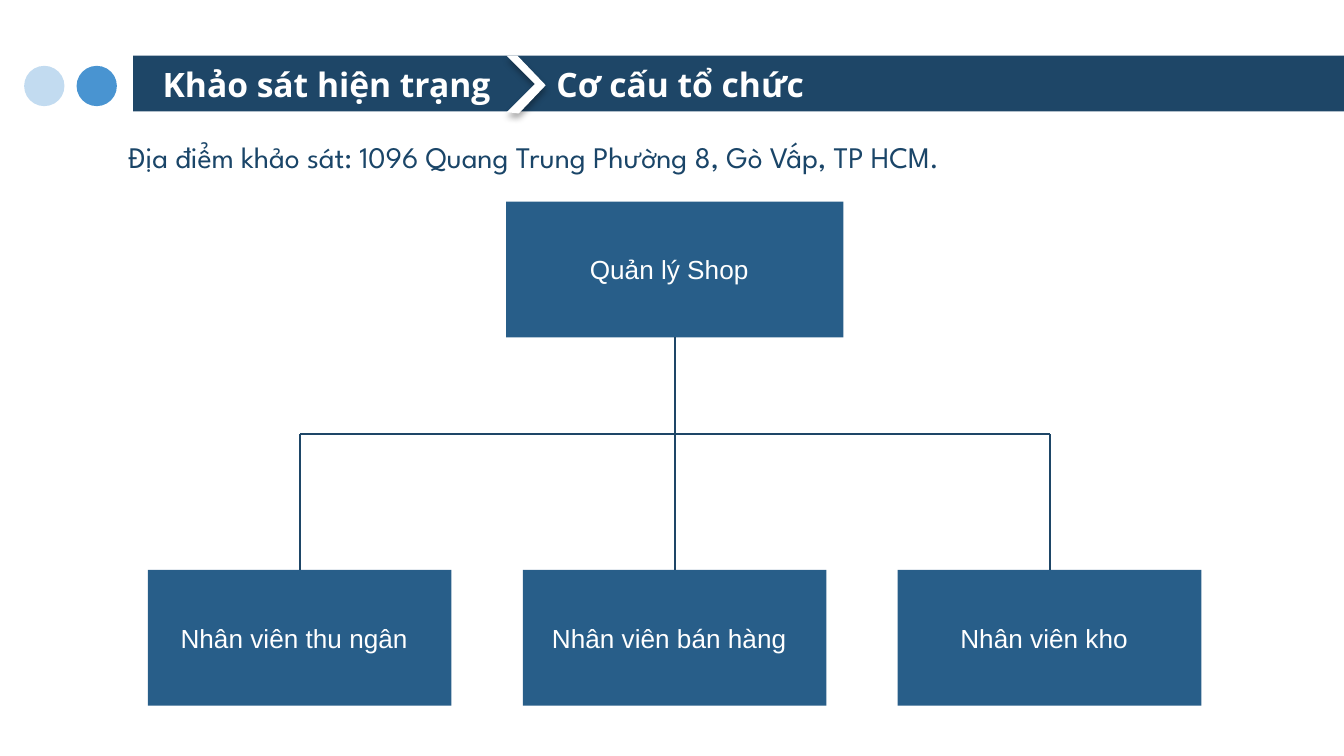
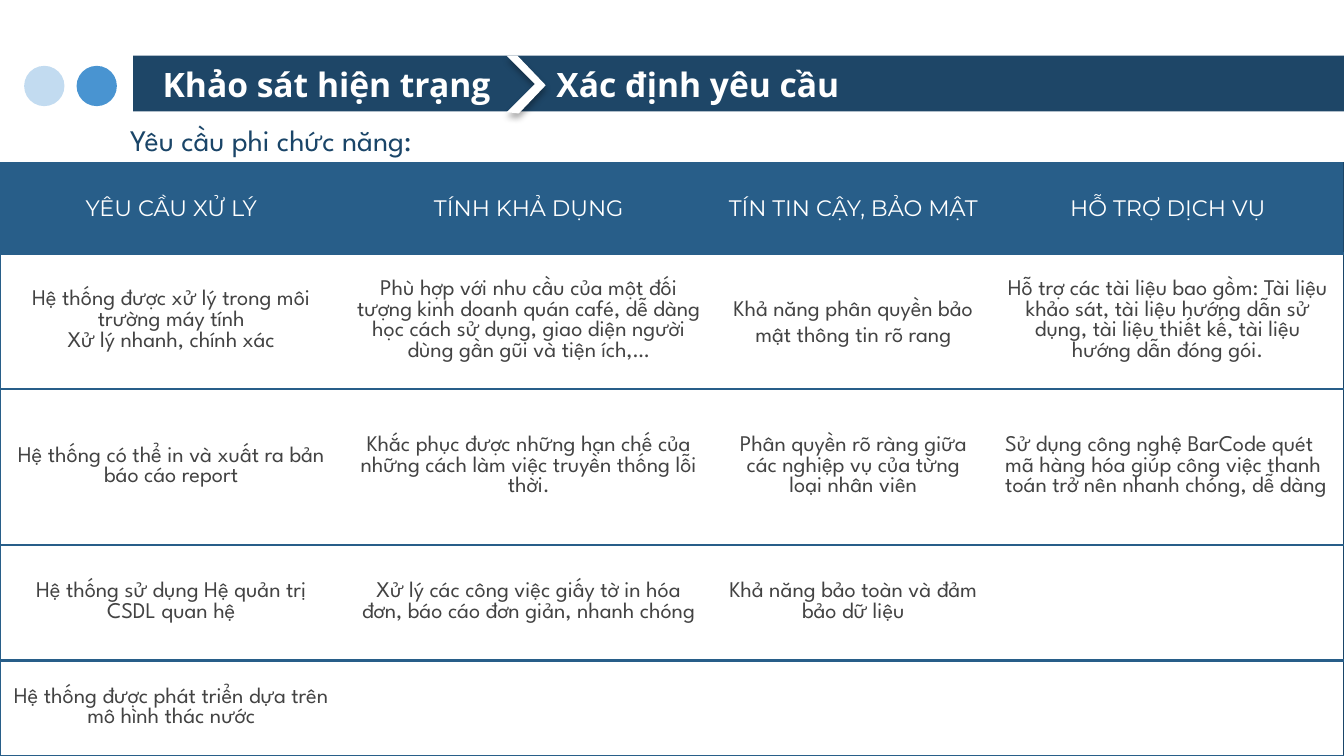
from collections import namedtuple

from lxml import etree
from pptx import Presentation
from pptx.dml.color import RGBColor
from pptx.enum.shapes import MSO_CONNECTOR as Connector, MSO_SHAPE as Preset
from pptx.enum.text import MSO_ANCHOR as Anchor, MSO_AUTO_SIZE as AutoSize, PP_ALIGN as Align
from pptx.oxml.ns import qn
from pptx.util import Inches, Pt

SLIDE_WIDTH = Inches(10)
SLIDE_HEIGHT = SLIDE_WIDTH * 9 // 16
COLUMNS = 100  # square grid cells across the slide
CELL = SLIDE_WIDTH // COLUMNS

NAVY, INK, BLUE = "1E4667", "1A4568", "285E89"
DOT_BLUE, DOT_PALE = "4994D1", "C2DBF0"
WHITE, GREY = "FFFFFF", "434343"
HEADING_FONT, BODY_FONT = "Open Sans", "League Spartan"
TABLE_HEAD_FONT, CHART_FONT = "Montserrat", "Arial"

SECTION = "Khảo sát hiện trạng"
MANAGER = "Quản lý Shop"
STAFF = ["Nhân viên thu ngân", "Nhân viên bán hàng", "Nhân viên kho"]

REQUIREMENT_COLUMNS = [25.5, 27.7, 20.6, 26.2]
REQUIREMENT_ROWS = [6.7, 10.1, 11.6, 8.6, 7.1]
REQUIREMENTS = [
    ["YÊU CẦU XỬ LÝ", "TÍNH KHẢ DỤNG", "TÍN TIN CẬY, BẢO MẬT", "HỖ TRỢ DỊCH VỤ"],
    ["Hệ thống được xử lý trong môi trường máy tính\nXử lý nhanh, chính xác",
     "Phù hợp với nhu cầu của một đối tượng kinh doanh quán café, dễ dàng học cách "
     "sử dụng, giao diện người dùng gần gũi và tiện ích,…",
     "Khả năng phân quyền bảo mật thông tin rõ rang",
     "Hỗ trợ các tài liệu bao gồm: Tài liệu khảo sát, tài liệu hướng dẫn sử dụng, "
     "tài liệu thiết kế, tài liệu hướng dẫn đóng gói."],
    ["Hệ thống có thể in và xuất ra bản báo cáo report",
     "Khắc phục được những hạn chế của những cách làm việc truyền thống lỗi thời.",
     "Phân quyền rõ ràng giữa các nghiệp vụ của từng loại nhân viên",
     "Sử dụng công nghệ BarCode quét mã hàng hóa giúp công việc thanh toán trở nên "
     "nhanh chóng, dễ dàng"],
    ["Hệ thống sử dụng Hệ quản trị CSDL quan hệ",
     "Xử lý các công việc giấy tờ in hóa đơn, báo cáo đơn giản, nhanh chóng",
     "Khả năng bảo toàn và đảm bảo dữ liệu", ""],
    ["Hệ thống được phát triển dựa trên mô hình thác nước", "", "", ""],
]
# Formats of single cells that depart from the rest of the table
CELL_FORMATS = {(1, 2): {"line_spacing": 1.3}, (2, 3): {"align": Align.LEFT}}


class Box(namedtuple("Box", "left top width height")):
    """A rectangle measured in grid cells."""

    def emu(self):
        return [grid(value) for value in self]


BAND = Box(9.9, 4.15, 90.1, 4.15)


def grid(cells):
    return round(cells * CELL)


def color(hex_string):
    return RGBColor.from_string(hex_string)


def write_text(frame, text, font=BODY_FONT, size=12, fill=WHITE, bold=False,
               align=Align.LEFT, line_spacing=None):
    frame.text = text
    for paragraph in frame.paragraphs:
        paragraph.alignment = align
        paragraph.space_before = Pt(0)
        if line_spacing:
            paragraph.line_spacing = line_spacing
        paragraph.font.name = font
        paragraph.font.size = Pt(size)
        paragraph.font.bold = bold
        paragraph.font.color.rgb = color(fill)


def paint(shape, fill):
    shape.shadow.inherit = False
    shape.fill.solid()
    shape.fill.fore_color.rgb = color(fill)
    shape.line.fill.background()
    return shape


def add_block(slide, preset, box, fill):
    return paint(slide.shapes.add_shape(preset, *box.emu()), fill)


def add_rule(slide, start, end):
    """Draw a straight line between two points given in grid cells."""
    points = [grid(value) for value in (*start, *end)]
    rule = slide.shapes.add_connector(Connector.STRAIGHT, *points)
    rule.line.color.rgb = color(NAVY)
    rule.line.width = Pt(1)
    etree.SubElement(rule.element.spPr, qn("a:effectLst"))
    return rule


def furnish_layout(layout, slide, band):
    """Draw the dots and the band on a slide, then move them to its layout."""
    for placeholder in list(layout.placeholders):
        if placeholder.placeholder_format.idx >= 10:
            layout.shapes.element.remove(placeholder.element)
    dot_top = band.top + 0.75
    parts = [
        add_block(slide, Preset.OVAL, Box(band.left - 4.2, dot_top, 3, 3), DOT_BLUE),
        add_block(slide, Preset.OVAL, Box(band.left - 8.1, dot_top, 3, 3), DOT_PALE),
        add_block(slide, Preset.RECTANGLE, band, NAVY),
    ]
    for part in parts:
        layout.shapes.element.append(part.element)


def add_chevron(slide, left, top):
    outline = [(0, 0), (0.8, 0), (2.9, 2.2), (0.9, 4.3), (0, 4.2), (2.1, 2.1)]
    points = [(grid(left + x), grid(top + y)) for x, y in outline]
    builder = slide.shapes.build_freeform(*points[0])
    builder.add_line_segments(points[1:], close=True)
    chevron = paint(builder.convert_to_shape(), WHITE)
    effects = chevron.element.spPr.find(qn("a:effectLst"))
    shadow = etree.SubElement(effects, qn("a:outerShdw"), blurRad=str(Pt(3.5)),
                              dist=str(Pt(2.2)), dir="5400000", rotWithShape="0")
    shade = etree.SubElement(shadow, qn("a:srgbClr"), val="000000")
    etree.SubElement(shade, qn("a:alpha"), val="32000")


def fill_heading(placeholder, text, box):
    placeholder.left, placeholder.top, placeholder.width, placeholder.height = box.emu()
    frame = placeholder.text_frame
    frame.auto_size = AutoSize.NONE
    frame.word_wrap = True
    frame.vertical_anchor = Anchor.MIDDLE
    frame.margin_left = grid(2.2)
    frame.margin_top = frame.margin_bottom = 0
    write_text(frame, text, font=HEADING_FONT, size=18, bold=True)


def add_header(slide, band, title):
    heading = band._replace(width=36)
    add_chevron(slide, band.left + 27.8, band.top)
    fill_heading(slide.placeholders[1], SECTION, heading)
    fill_heading(slide.shapes.title, title, heading._replace(left=band.left + 29.3))


def add_caption(slide, text, left, top):
    caption = slide.shapes.add_textbox(*Box(left, top, 80.8, 3.7).emu())
    caption.text_frame.word_wrap = True
    write_text(caption.text_frame, text, size=16, fill=INK)


def add_role(slide, text, box):
    role = add_block(slide, Preset.RECTANGLE, box, BLUE)
    frame = role.text_frame
    frame.word_wrap = True
    frame.vertical_anchor = Anchor.MIDDLE
    frame.margin_left, frame.margin_right = grid(1), grid(1.8)
    write_text(frame, text, font=CHART_FONT, size=14, align=Align.CENTER)
    return role


def add_org_chart(slide, area):
    """Place the manager above a row of staff, joined by a bus line."""
    role_height, staff_width, manager_width = 10.1, 22.6, 25.1
    step = (area.width - staff_width) / (len(STAFF) - 1)
    center = area.left + area.width / 2
    staff_top = area.top + area.height - role_height
    bus = area.top + 17.3

    manager = add_role(slide, MANAGER, Box(center - manager_width / 2, area.top,
                                           manager_width, role_height))
    staff = [add_role(slide, text, Box(area.left + index * step, staff_top,
                                       staff_width, role_height))
             for index, text in enumerate(STAFF)]

    trunk = add_rule(slide, (center, area.top + role_height), (center, staff_top))
    trunk.begin_connect(manager, 2)
    trunk.end_connect(staff[1], 0)
    for role, x in ((staff[0], center - step), (staff[-1], center + step)):
        add_rule(slide, (center, bus), (x, bus))
        drop = add_rule(slide, (x, bus), (x, staff_top))
        drop.end_connect(role, 0)


def set_border(cell, side, hex_string=None, width=1.5):
    """Draw one side of a cell, or hide it when no colour is given."""
    properties = cell._tc.get_or_add_tcPr()
    line = etree.SubElement(properties, qn(f"a:ln{side}"), w=str(Pt(width)))
    if hex_string:
        solid = etree.SubElement(line, qn("a:solidFill"))
        etree.SubElement(solid, qn("a:srgbClr"), val=hex_string)
    else:
        etree.SubElement(line, qn("a:noFill"))


def format_cell(cell, is_head, is_first, is_last):
    set_border(cell, "L", BLUE if is_first else None)
    set_border(cell, "R", INK if is_last else None, width=1)
    set_border(cell, "T", BLUE)
    set_border(cell, "B", BLUE)
    if is_head:
        cell.fill.solid()
        cell.fill.fore_color.rgb = color(BLUE)
    else:
        cell.fill.background()
    cell.vertical_anchor = Anchor.MIDDLE
    cell.margin_left = cell.margin_right = grid(1)
    cell.margin_top = cell.margin_bottom = grid(1)


def add_requirements(slide, left, top):
    box = Box(left, top, sum(REQUIREMENT_COLUMNS), sum(REQUIREMENT_ROWS))
    table = slide.shapes.add_table(len(REQUIREMENT_ROWS), len(REQUIREMENT_COLUMNS),
                                   *box.emu()).table
    table.first_row = table.horz_banding = False
    for column, width in zip(table.columns, REQUIREMENT_COLUMNS):
        column.width = grid(width)
    for row, height in zip(table.rows, REQUIREMENT_ROWS):
        row.height = grid(height)

    last = len(REQUIREMENT_COLUMNS) - 1
    head = {"font": TABLE_HEAD_FONT, "fill": WHITE}
    body = {"font": BODY_FONT, "fill": GREY}
    for row_index, texts in enumerate(REQUIREMENTS):
        for column_index, text in enumerate(texts):
            cell = table.cell(row_index, column_index)
            format_cell(cell, row_index == 0, column_index == 0, column_index == last)
            look = {"align": Align.CENTER, **(body if row_index else head),
                    **CELL_FORMATS.get((row_index, column_index), {})}
            write_text(cell.text_frame, text, **look)


def build_structure_slide(slide):
    add_header(slide, BAND, "Cơ cấu tổ chức")
    add_caption(slide, "Địa điểm khảo sát: 1096 Quang Trung Phường 8, Gò Vấp, TP HCM.",
                8.6, 9.8)
    add_org_chart(slide, Box(11, 15, 78.4, 37.5))


def build_requirements_slide(slide):
    add_header(slide, BAND, "Xác định yêu cầu")
    add_caption(slide, "Yêu cầu phi chức năng:", 8.7, 8.6)
    add_requirements(slide, 0, 12.15)


def main():
    presentation = Presentation()
    presentation.slide_width, presentation.slide_height = SLIDE_WIDTH, SLIDE_HEIGHT
    layout = presentation.slide_layouts[0]
    structure = presentation.slides.add_slide(layout)
    furnish_layout(layout, structure, BAND)
    build_structure_slide(structure)
    build_requirements_slide(presentation.slides.add_slide(layout))
    presentation.save("out.pptx")


if __name__ == "__main__":
    main()
